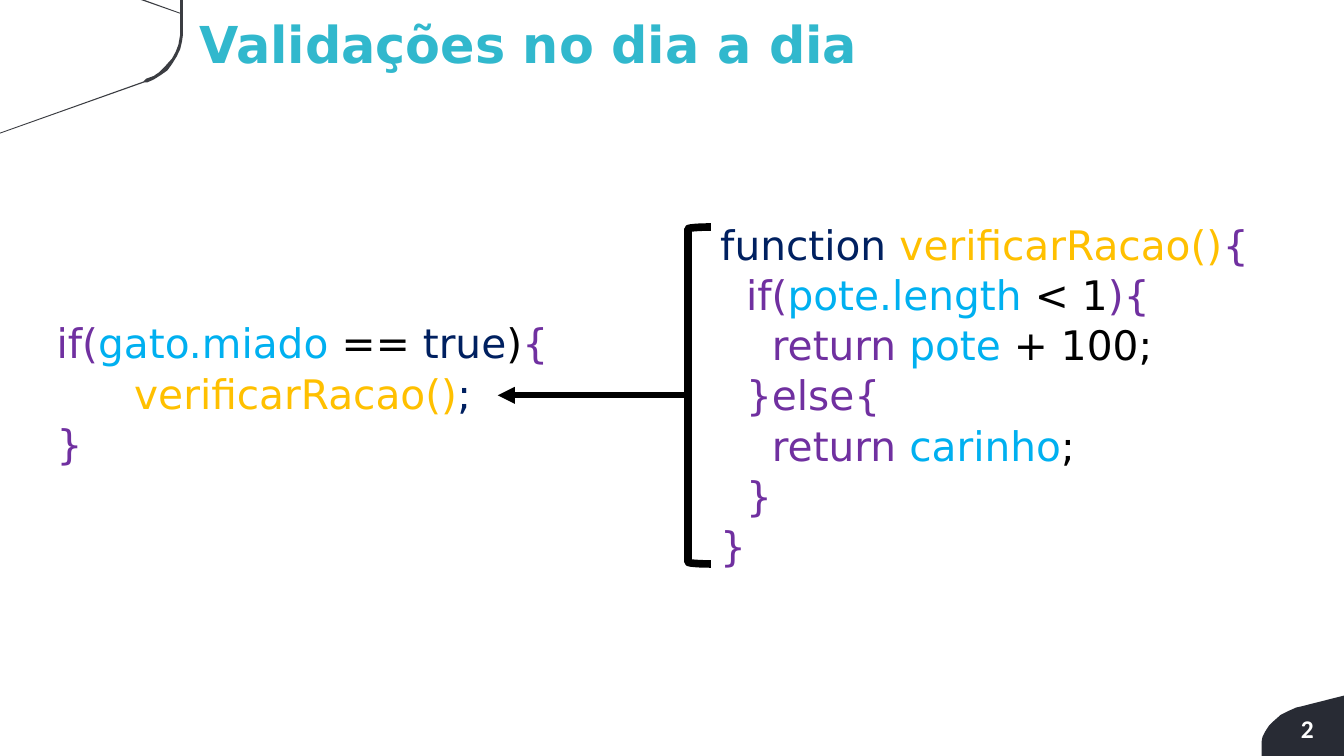
from lxml import etree
from pptx import Presentation
from pptx import util as u
from pptx.dml import color
from pptx.enum import shapes, text
from pptx.oxml import ns

Pt = u.Pt
COLORS = {
    "black": "000000", "white": "FFFFFF", "teal": "31B8CD", "dark": "282B34",
    "gray": "3B3D42", "keyword": "7030A0", "variable": "00B0F0",
    "literal": "002060", "function": "FFC000",
}
SPACE = 10.17


def rgb(name):
    return color.RGBColor.from_string(COLORS[name])


def write(paragraph, words, *, size, font="DejaVu Sans", tint="black", bold=False):
    run = paragraph.add_run()
    run.text = words
    run.font.size = Pt(size)
    run.font.name = font
    run.font.bold = bold
    run.font.color.rgb = rgb(tint)


class SlideBuilder:
    def __init__(self, slide):
        self.shapes = slide.shapes

    def frame(self, left, top, width, height, inset=(0, 0)):
        frame = self.shapes.add_textbox(Pt(left), Pt(top), Pt(width), Pt(height)).text_frame
        frame.word_wrap = True
        frame.auto_size = text.MSO_AUTO_SIZE.NONE
        frame.margin_left = frame.margin_right = Pt(inset[0])
        frame.margin_top = frame.margin_bottom = Pt(inset[1])
        return frame

    def label(self, words, box, inset=(0, 0), **style):
        paragraph = self.frame(*box, inset=inset).paragraphs[0]
        write(paragraph, words, **style)
        return paragraph

    def code(self, lines, box):
        frame = self.frame(*box)
        for number, (indent, parts) in enumerate(lines):
            paragraph = frame.add_paragraph() if number else frame.paragraphs[0]
            paragraph.line_spacing = 1.03
            paragraph._p.get_or_add_pPr().set("marL", str(Pt(indent * SPACE)))
            for tint, words in parts:
                write(paragraph, words, size=32, tint=tint)

    def outline(self, points, tint):
        first, *rest = [(Pt(x), Pt(y)) for x, y in points]
        builder = self.shapes.build_freeform(*first)
        builder.add_line_segments(rest, close=True)
        shape = builder.convert_to_shape()
        shape.shadow.inherit = False
        shape.fill.solid()
        shape.fill.fore_color.rgb = rgb(tint)
        shape.line.fill.background()

    def bracket(self, left, top, width, height, weight):
        shape = self.shapes.add_shape(
            shapes.MSO_SHAPE.LEFT_BRACKET, Pt(left), Pt(top), Pt(width), Pt(height))
        shape.shadow.inherit = False
        shape.fill.background()
        shape.line.color.rgb = rgb("black")
        shape.line.width = Pt(weight)

    def arrow(self, start, end, weight):
        line = self.shapes.add_connector(
            shapes.MSO_CONNECTOR.STRAIGHT, *[Pt(value) for value in (*start, *end)])
        line.line.color.rgb = rgb("black")
        line.line.width = Pt(weight)
        etree.SubElement(line.line._get_or_add_ln(), ns.qn("a:tailEnd"), type="triangle")
        etree.SubElement(line._element.spPr, ns.qn("a:effectLst"))


deck = Presentation()
deck.slide_width, deck.slide_height = Pt(1057.68), Pt(594.72)
page = SlideBuilder(deck.slides.add_slide(deck.slide_layouts[6]))

page_tab = [
    (1057.68, 594.72), (992.9, 594.72), (992.9, 583.2), (993.6, 579.6),
    (995.8, 575.3), (998.6, 571), (1002.2, 567.4), (1008, 562.3),
    (1013.8, 559.4), (1020.2, 556.6), (1023.8, 555.8), (1057.68, 547.2),
]
corner_band = [
    (0, 105.1), (0, 104.4), (113, 64.1), (115.2, 61.9), (121, 59.8),
    (125.3, 56.9), (130.3, 51.8), (135.4, 46.1), (138.2, 41), (140.4, 35.3),
    (141.8, 27.4), (141.8, 10.8), (110.9, 0), (113.8, 0), (141.8, 10.1),
    (141.8, 0), (144, 0), (144, 27.4), (143.3, 32.4), (141.8, 38.9),
    (139, 44.6), (135.4, 50.4), (131.8, 55.4), (126.7, 59), (121, 62.6),
    (116, 64.8), (113.8, 64.8),
]
page.outline(page_tab, "dark")
page.outline(corner_band, "gray")

title = page.label("Validações no dia a dia", (157, 7.2, 790.6, 49.7),
                   size=40, tint="teal", bold=True)
title.line_spacing = 1.06
page.label("2", (1016.6, 557.3, 30.2, 31.7), inset=(7.2, 3.6),
           size=20, font="Calibri", tint="white", bold=True)

caller = [
    (0, [("keyword", "if("), ("variable", "gato.miado "), ("black", "== "),
         ("literal", "true"), ("black", ")"), ("keyword", "{")]),
    (6, [("function", "verificarRacao()"), ("literal", ";")]),
    (0, [("keyword", "}")]),
]
definition = [
    (10, [("literal", "function "), ("function", "verificarRacao()"), ("keyword", "{")]),
    (12, [("keyword", "if("), ("variable", "pote.length "), ("black", "< 1"),
          ("keyword", "){")]),
    (14, [("keyword", "return "), ("variable", "pote"), ("black", " + 100;")]),
    (12, [("keyword", "}else{")]),
    (14, [("keyword", "return "), ("variable", "carinho"), ("black", ";")]),
    (12, [("keyword", "}")]),
    (10, [("keyword", "}")]),
]
page.code(caller, (44.6, 249.1, 403.9, 193.7))
page.code(definition, (465.1, 171.4, 552.2, 349.2))

page.bracket(541.4, 178.6, 18, 265, weight=6)
page.arrow((541.4, 311), (391.7, 311), weight=4.5)

deck.save("out.pptx")
